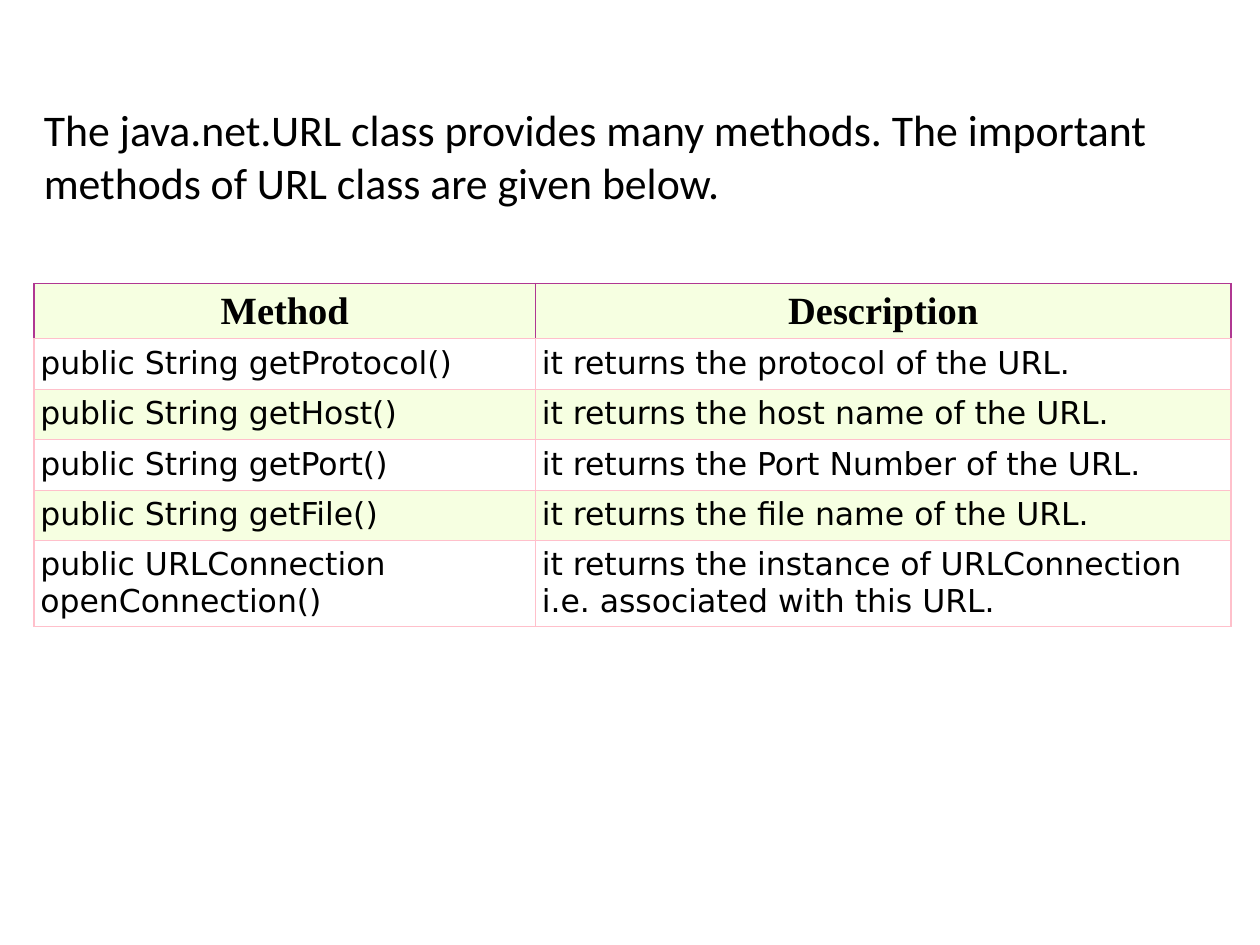
from lxml.etree import SubElement
from pptx import Presentation
from pptx.dml.color import RGBColor
from pptx.enum.text import PP_ALIGN
from pptx.oxml.ns import qn
from pptx.util import Inches, Pt

INTRO = ("The java.net.URL class provides many methods. "
         "The important methods of URL class are given below.")
ROWS = [
    ("Method", "Description"),
    ("public String getProtocol()", "it returns the protocol of the URL."),
    ("public String getHost()", "it returns the host name of the URL."),
    ("public String getPort()", "it returns the Port Number of the URL."),
    ("public String getFile()", "it returns the file name of the URL."),
    ("public URLConnection openConnection()",
     "it returns the instance of URLConnection i.e. associated with this URL."),
]
WIDTHS = (3.98, 5.52)
HEIGHTS = (0.44, 0.4, 0.4, 0.4, 0.4, 0.68)
THEME = {
    "ink": "000000", "tint": "F6FFE1", "plain": "FFFFFF",
    "pink": "FFC0CB", "plum": "B03792", "rule": 0.75, "pad": 0.05,
    "intro": ("Calibri", 25, False),
    "head": ("Times New Roman", 22, True),
    "body": ("DejaVu Sans", 18, False),
}


def style(para, role):
    font = para.font
    font.name, size, font.bold = THEME[role]
    font.size = Pt(size)
    font.color.rgb = RGBColor.from_string(THEME["ink"])


def border(cell, head):
    props = cell._tc.get_or_add_tcPr()
    for side in "LRTB":
        tone = "plum" if head and side != "B" else "pink"
        line = SubElement(props, qn(f"a:ln{side}"), w=str(Pt(THEME["rule"])))
        fill = SubElement(line, qn("a:solidFill"))
        SubElement(fill, qn("a:srgbClr"), val=THEME[tone])


def paint(cell, text, row):
    head = row == 0
    pad = Inches(THEME["pad"])
    cell.margin_left = cell.margin_right = pad
    cell.margin_top = cell.margin_bottom = pad
    border(cell, head)
    cell.fill.solid()
    tone = "plain" if row % 2 else "tint"
    cell.fill.fore_color.rgb = RGBColor.from_string(THEME[tone])
    cell.text = text
    para = cell.text_frame.paragraphs[0]
    para.alignment = PP_ALIGN.CENTER if head else PP_ALIGN.LEFT
    style(para, "head" if head else "body")


def main():
    deck = Presentation()
    deck.slide_width, deck.slide_height = Inches(10), Inches(7.5)
    slide = deck.slides.add_slide(deck.slide_layouts[6])

    grid = slide.shapes.add_table(
        len(ROWS), len(WIDTHS), Inches(0.27), Inches(2.25),
        Inches(sum(WIDTHS)), Inches(sum(HEIGHTS))).table
    for col, width in zip(grid.columns, WIDTHS):
        col.width = Inches(width)
    for row, (texts, height) in enumerate(zip(ROWS, HEIGHTS)):
        grid.rows[row].height = Inches(height)
        for col, text in enumerate(texts):
            paint(grid.cell(row, col), text, row)

    frame = slide.shapes.add_textbox(
        Inches(0.25), Inches(0.77), Inches(9.33), Inches(0.94)).text_frame
    frame.word_wrap = True
    frame.text = INTRO
    style(frame.paragraphs[0], "intro")
    deck.save("out.pptx")


if __name__ == "__main__":
    main()
